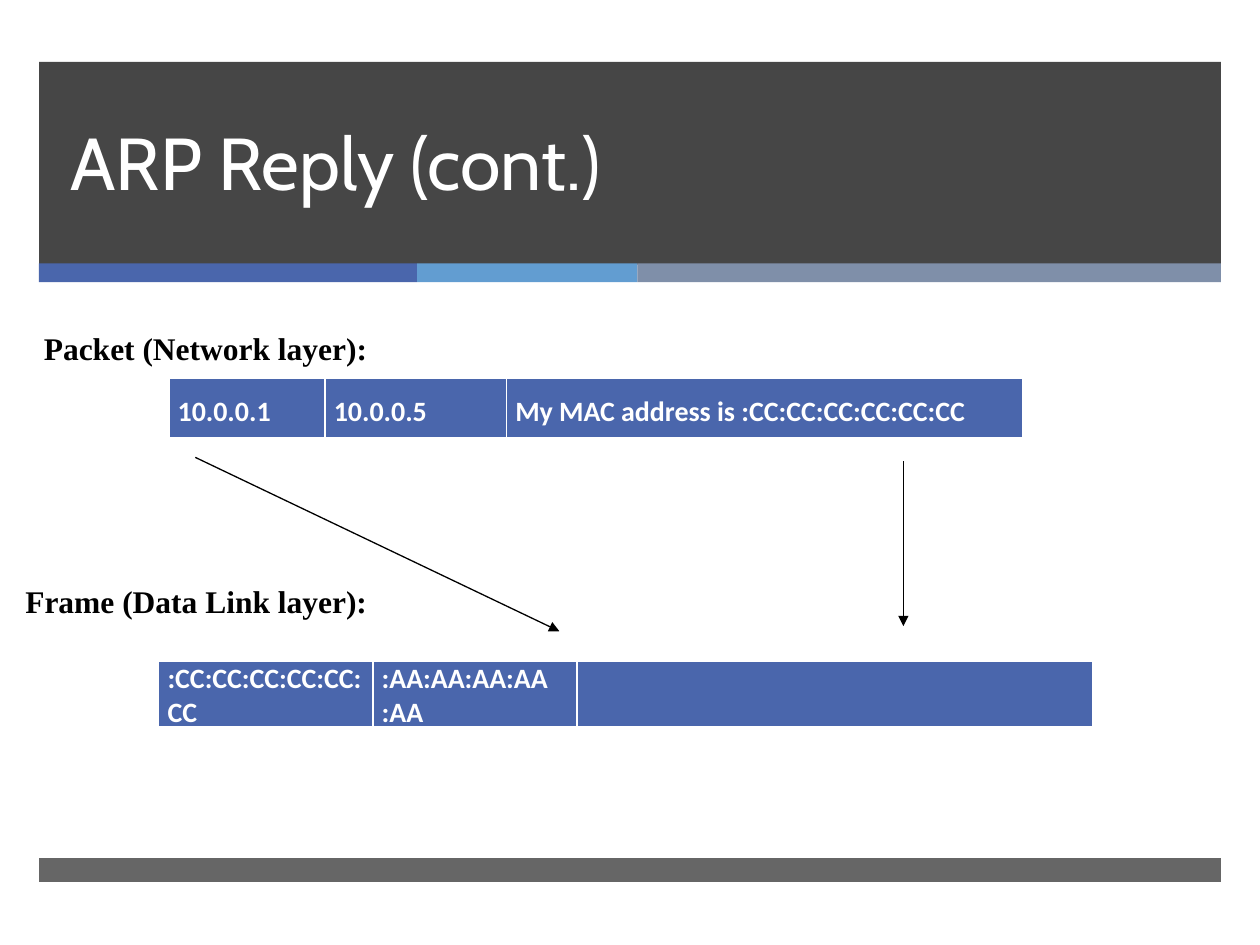
from lxml.etree import SubElement
from pptx import Presentation
from pptx.dml.color import RGBColor
from pptx.enum.shapes import MSO_CONNECTOR, MSO_SHAPE
from pptx.enum.text import MSO_ANCHOR, MSO_AUTO_SIZE, PP_ALIGN
from pptx.oxml.ns import qn
from pptx.util import Inches, Pt

BLACK = RGBColor(0x00, 0x00, 0x00)
WHITE = RGBColor(0xFF, 0xFF, 0xFF)
CHARCOAL = RGBColor(0x26, 0x26, 0x26)
BLUE = RGBColor(0x4A, 0x66, 0xAC)
SKY = RGBColor(0x62, 0x9D, 0xD1)
SLATE = RGBColor(0x7F, 0x8F, 0xA9)


class SlideBuilder:
    title_font, label_font, cell_font = "Cabin", "Times New Roman", "Calibri"
    title_size, label_size, cell_size = Pt(42), Pt(18), Pt(16)

    def __init__(self, s):
        self.s = s

    def run(self, p, text, font, size, color, bold=True):
        r = p.add_run()
        r.text = text
        r.font.name, r.font.size, r.font.bold = font, size, bold
        r.font.color.rgb = color

    def spaced(self, p, align=None):
        p.line_spacing, p.space_after = 1.5, Pt(10)
        p.alignment = align

    def title(self, text, x, y, w, h):
        sp = self.s.shapes.title
        sp.left, sp.top, sp.width, sp.height = map(Inches, (x, y, w, h))
        # The placeholder comes first in the tree; bring it above the bands.
        self.s.shapes._spTree.append(sp._element)
        tf = sp.text_frame
        tf.vertical_anchor, tf.word_wrap = MSO_ANCHOR.BOTTOM, True
        tf.auto_size = MSO_AUTO_SIZE.NONE
        p = tf.paragraphs[0]
        p.alignment, p.line_spacing = PP_ALIGN.LEFT, Pt(46)
        self.run(p, text, self.title_font, self.title_size, WHITE, False)

    def band(self, x, y, w, h, color, opacity=100):
        sp = self.s.shapes.add_shape(MSO_SHAPE.RECTANGLE, *map(Inches, (x, y, w, h)))
        sp.shadow.inherit = False
        sp.line.fill.background()
        sp.fill.solid()
        sp.fill.fore_color.rgb = color
        if opacity < 100:
            clr = sp._element.spPr.find(qn("a:solidFill"))[0]
            SubElement(clr, qn("a:alpha"), val=str(opacity * 1000))

    def label(self, text, x, y, w, h, spaced=False):
        tf = self.s.shapes.add_textbox(*map(Inches, (x, y, w, h))).text_frame
        tf.word_wrap = False
        tf.auto_size = MSO_AUTO_SIZE.SHAPE_TO_FIT_TEXT
        p = tf.paragraphs[0]
        if spaced:
            self.spaced(p, PP_ALIGN.JUSTIFY)
        self.run(p, text, self.label_font, self.label_size, BLACK)

    def cell_borders(self, cell):
        tc_pr = cell._tc.get_or_add_tcPr()
        for side, width in (("L", 1), ("R", 1), ("T", 1), ("B", 3)):
            ln = SubElement(tc_pr, qn(f"a:ln{side}"), w=str(Pt(width)))
            fill = SubElement(ln, qn("a:solidFill"))
            SubElement(fill, qn("a:srgbClr"), val=str(WHITE))

    def field_row(self, x, y, h, fields, spaced=False):
        """Draw a one-row table; fields are (width, lines, alignment)."""
        width = sum(w for w, _, _ in fields)
        table = self.s.shapes.add_table(
            1, len(fields), *map(Inches, (x, y, width, h))).table
        table.first_row = table.horz_banding = False
        for i, (w, lines, align) in enumerate(fields):
            table.columns[i].width = Inches(w)
            cell = table.cell(0, i)
            cell.margin_left = cell.margin_right = Inches(0.07)
            cell.margin_top = cell.margin_bottom = 0
            self.cell_borders(cell)
            cell.fill.solid()
            cell.fill.fore_color.rgb = BLUE
            tf = cell.text_frame
            for n, line in enumerate(lines):
                p = tf.add_paragraph() if n else tf.paragraphs[0]
                if spaced:
                    self.spaced(p, align)
                self.run(p, line, self.cell_font, self.cell_size, WHITE)

    def arrow(self, x1, y1, x2, y2):
        c = self.s.shapes.add_connector(
            MSO_CONNECTOR.STRAIGHT, *map(Inches, (x1, y1, x2, y2)))
        c.line.color.rgb, c.line.width = BLACK, Pt(0.75)
        SubElement(c.line._get_or_add_ln(), qn("a:tailEnd"), type="triangle")
        SubElement(c._element.spPr, qn("a:effectLst"))


def main():
    prs = Presentation()
    prs.slide_width, prs.slide_height = Inches(10), Inches(7.5)
    b = SlideBuilder(prs.slides.add_slide(prs.slide_layouts[5]))

    left, width = 0.31, 9.38
    b.band(left, 0.49, width, 1.61, CHARCOAL, 85)
    x = left
    for w, color in ((3, BLUE), (1.75, SKY), (4.63, SLATE)):
        b.band(x, 2.09, w, 0.15, color)
        x += w
    b.band(left, 6.81, width, 0.19, CHARCOAL, 70)

    b.label("Packet (Network layer):", 0.25, 2.41, 2.8, 0.56, spaced=True)
    b.field_row(1.34, 3, 0.49, [
        (1.24, ["10.0.0.1"], PP_ALIGN.JUSTIFY),
        (1.44, ["10.0.0.5"], PP_ALIGN.JUSTIFY),
        (4.1, ["My MAC address is :CC:CC:CC:CC:CC:CC"], None),
    ], spaced=True)

    b.label(" Frame (Data Link layer):", 0.04, 4.57, 3.01, 0.4)
    b.field_row(1.26, 5.25, 0.53, [
        (1.7, [":CC:CC:CC:CC:CC:CC"], None),
        (1.62, [":AA:AA:AA:AA", ":AA"], None),
        (4.09, [], None),
    ])

    b.arrow(1.55, 3.63, 4.44, 5.01)
    b.arrow(7.17, 3.66, 7.17, 4.97)
    b.title("ARP Reply (cont.)", 0.46, 0.49, 8.54, 1.19)
    prs.save("out.pptx")


if __name__ == "__main__":
    main()
